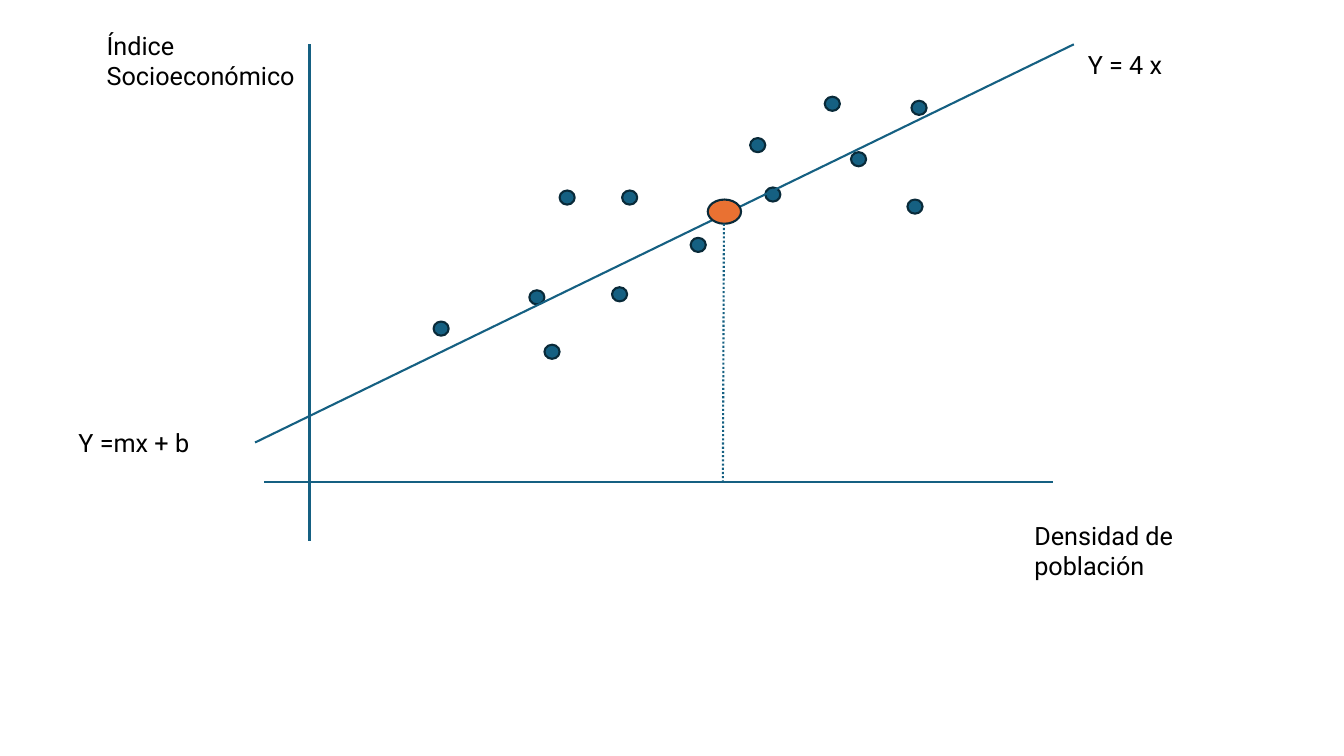
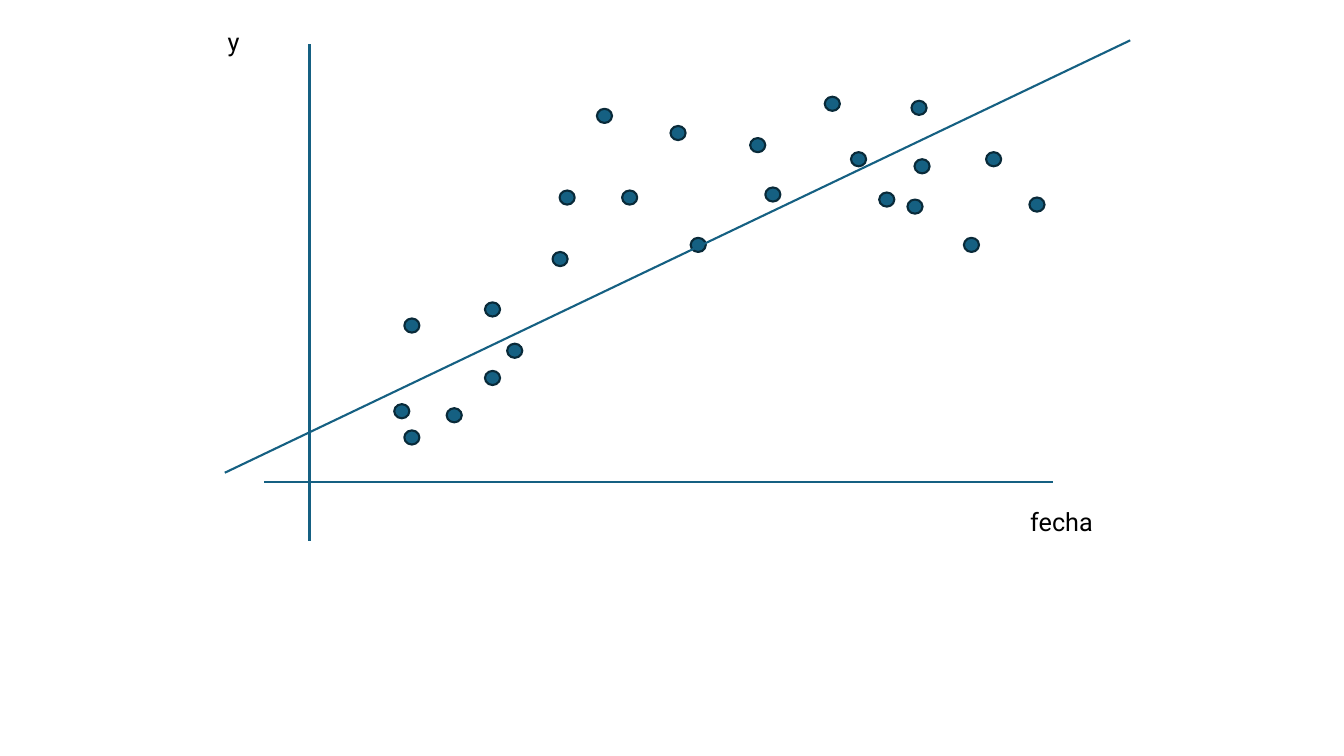
from dataclasses import dataclass

from pptx import Presentation
from pptx.dml.color import RGBColor
from pptx.enum.dml import MSO_LINE
from pptx.enum.shapes import MSO_CONNECTOR, MSO_SHAPE
from pptx.enum.text import MSO_AUTO_SIZE
from pptx.oxml.ns import qn
from pptx.util import Inches, Pt
from lxml import etree

STRAIGHT = MSO_CONNECTOR.STRAIGHT
OVAL = MSO_SHAPE.OVAL
DOTTED = MSO_LINE.ROUND_DOT
GROW = MSO_AUTO_SIZE.SHAPE_TO_FIT_TEXT


@dataclass(frozen=True)
class Theme:
    font: str = "Roboto"
    text_size: int = 18
    line_width: float = 1.5
    text: str = "000000"
    background: str = "FFFFFF"
    main: str = "156082"
    outline: str = "092A39"
    accent: str = "E97132"
    dot_size: tuple = (0.15, 0.14)


COMMON_POINTS = [
    (6.17, 1.89), (6.85, 2.36), (7.44, 1.37), (9, 1.98), (8.18, 0.96),
    (7.59, 1.86), (8.44, 1.51), (9.04, 1), (5.55, 1.89),
]
DENSITY_POINTS = [(4.3, 3.19), (5.25, 2.88), (5.4, 3.42), (6.07, 2.85)]
DATE_POINTS = [
    (4.01, 4.27), (4.43, 4.05), (3.91, 4.01), (5.48, 2.5), (4.81, 3.68),
    (5.03, 3.41), (5.92, 1.08), (6.65, 1.25), (9.56, 2.36), (9.78, 1.51),
    (9.07, 1.58), (8.72, 1.91), (10.21, 1.96), (4.01, 3.16), (4.81, 3),
]


def rgb(color):
    return RGBColor.from_string(color)


def write(tf, text, size, font, color):
    p = tf.paragraphs[0]
    r = p.add_run()
    r.text = text
    r.font.size = Pt(size)
    r.font.name = font
    r.font.color.rgb = rgb(color)


class Deck:
    def __init__(self, theme):
        self.theme = theme
        self.prs = Presentation()
        self.prs.slide_width = Inches(13.33)
        self.prs.slide_height = Inches(7.5)
        self.s = None

    def scatter(self, points, trend_start, trend_end):
        self.s = self.prs.slides.add_slide(self.prs.slide_layouts[6])
        fill = self.s.background.fill
        fill.solid()
        fill.fore_color.rgb = rgb(self.theme.background)
        self.line((3.07, 0.44), (3.07, 5.37))
        self.line((10.44, 4.78), (2.62, 4.78))
        for point in points:
            self.ellipse(point, self.theme.dot_size, self.theme.main)
        self.line(trend_start, trend_end)

    def line(self, start, end, dash=None):
        x1, y1, x2, y2 = map(Inches, start + end)
        cx = self.s.shapes.add_connector(STRAIGHT, x1, y1, x2, y2)
        cx.line.color.rgb = rgb(self.theme.main)
        cx.line.width = Pt(self.theme.line_width)
        if dash is not None:
            cx.line.dash_style = dash
        etree.SubElement(cx._element.spPr, qn("a:effectLst"))

    def ellipse(self, position, size, color):
        sp = self.s.shapes.add_shape(OVAL, *map(Inches, position + size))
        sp.shadow.inherit = False
        sp.fill.solid()
        sp.fill.fore_color.rgb = rgb(color)
        sp.line.color.rgb = rgb(self.theme.outline)
        sp.line.width = Pt(self.theme.line_width)

    def label(self, text, left, top, width, height=0.4):
        box = map(Inches, (left, top, width, height))
        tf = self.s.shapes.add_textbox(*box).text_frame
        tf.word_wrap = True
        tf.auto_size = GROW
        write(tf, text, size=self.theme.text_size, font=self.theme.font,
              color=self.theme.text)


def density_slide(deck):
    deck.scatter(DENSITY_POINTS + COMMON_POINTS, (2.53, 4.39), (10.65, 0.44))
    deck.label("Índice Socioeconómico", 0.96, 0.25, 2.44, 0.71)
    deck.label("Densidad de población", 10.16, 5.11, 2.27, 0.71)
    deck.label("Y =mx + b", 0.68, 4.19, 1.85)
    deck.label("Y = 4 x", 10.69, 0.44, 1.28)
    deck.ellipse((7.02, 1.98), (0.33, 0.24), deck.theme.accent)
    deck.line((7.18, 2.22), (7.17, 4.78), dash=DOTTED)


def date_slide(deck):
    deck.scatter(DATE_POINTS + COMMON_POINTS, (2.23, 4.69), (11.21, 0.4))
    deck.label("fecha", 10.12, 4.97, 1.03)
    deck.label("y", 2.16, 0.21, 1.03)


def main():
    deck = Deck(Theme())
    density_slide(deck)
    date_slide(deck)
    deck.prs.save("out.pptx")


if __name__ == "__main__":
    main()
